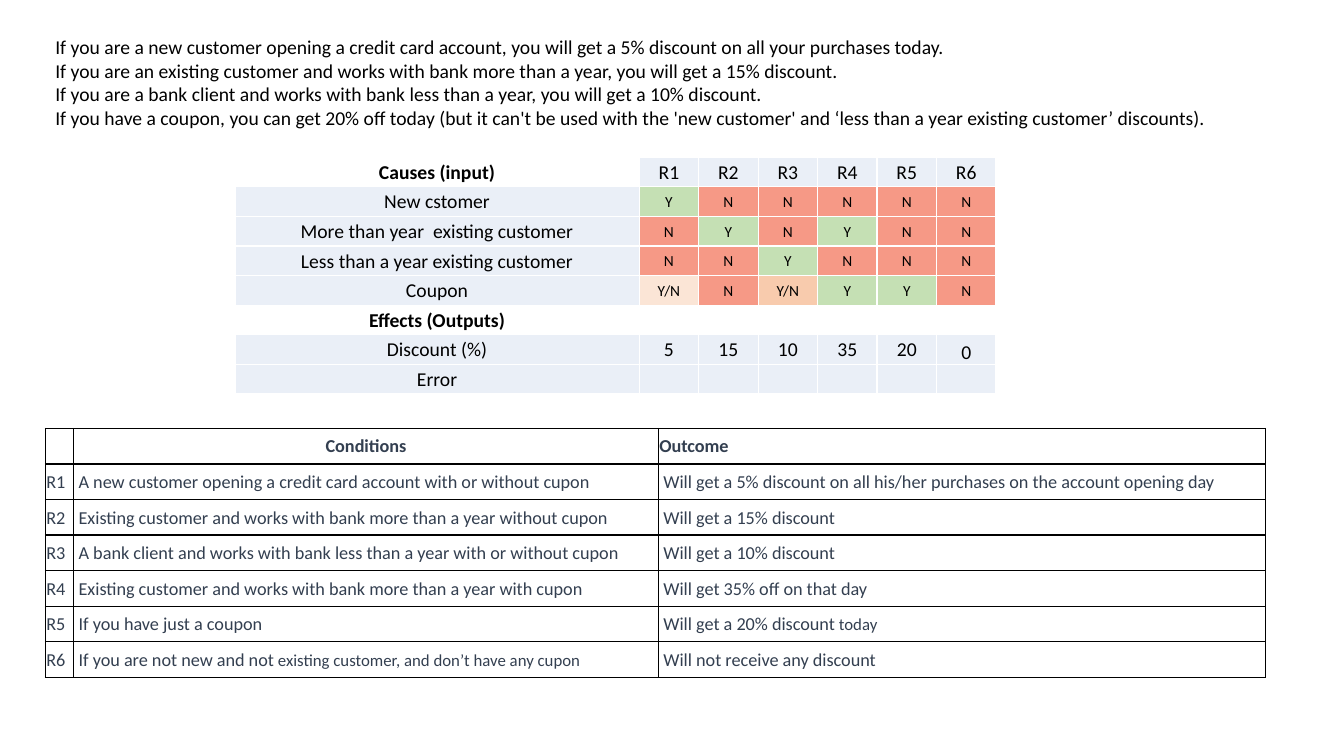
from pptx import Presentation, oxml
from pptx import util as u
from pptx.dml.color import RGBColor
from pptx.enum import text
from pptx.oxml import ns

BLACK = RGBColor(0x00, 0x00, 0x00)
WHITE = RGBColor(0xFF, 0xFF, 0xFF)
SLATE = RGBColor(0x33, 0x3F, 0x50)
PALE_BLUE = RGBColor(0xEA, 0xEF, 0xF7)
GREEN = RGBColor(0xC5, 0xE0, 0xB4)
RED = RGBColor(0xF6, 0x99, 0x86)
LIGHT_ORANGE = RGBColor(0xFB, 0xE5, 0xD6)
ORANGE = RGBColor(0xF8, 0xCB, 0xAD)

CENTER, LEFT = text.PP_ALIGN.CENTER, text.PP_ALIGN.LEFT
MIDDLE = text.MSO_ANCHOR.MIDDLE


class SlideBuilder:
    font_name = "Calibri"

    def __init__(self, slide):
        self.slide = slide

    def style(self, paragraph, size, color, bold=False, align=LEFT):
        paragraph.alignment = align
        font = paragraph.font
        font.name, font.size, font.bold = self.font_name, u.Pt(size), bold
        font.color.rgb = color

    def text_box(self, left, top, width, height, lines, size, color):
        box = self.slide.shapes.add_textbox(*map(u.Inches, (left, top, width, height)))
        frame = box.text_frame
        frame.word_wrap = False
        frame.auto_size = text.MSO_AUTO_SIZE.SHAPE_TO_FIT_TEXT
        frame.text = "\n".join(lines)
        for paragraph in frame.paragraphs:
            self.style(paragraph, size, color)

    def table(self, left, top, column_widths, height, row_count):
        frame = self.slide.shapes.add_table(
            row_count, len(column_widths), u.Inches(left), u.Inches(top),
            u.Inches(sum(column_widths)), u.Inches(height))
        table = frame.table
        table.first_row = table.horz_banding = False
        for column, width in zip(table.columns, column_widths):
            column.width = u.Inches(width)
        return table

    def cell(self, cell, content, size, color, fill, border, bold=False,
             align=LEFT, indent=0.01):
        """Content is a string or a list of (text, size) runs."""
        cell.margin_left = u.Inches(indent)
        cell.margin_top = cell.margin_right = u.Inches(0.01)
        cell.margin_bottom = 0
        cell.vertical_anchor = MIDDLE
        cell.fill.solid()
        cell.fill.fore_color.rgb = fill
        paragraph = cell.text_frame.paragraphs[0]
        self.style(paragraph, size, color, bold, align)
        runs = [(content, size)] if isinstance(content, str) else content
        for words, run_size in runs:
            if words:
                run = paragraph.add_run()
                run.text = words
                if run_size != size:
                    run.font.size = u.Pt(run_size)
        self.borders(cell, border)

    def borders(self, cell, color):
        properties = cell._tc.get_or_add_tcPr()
        for index, side in enumerate("LRTB"):
            properties.insert(index, oxml.parse_xml(
                f'<a:ln{side} {ns.nsdecls("a")} w="12700"><a:solidFill>'
                f'<a:srgbClr val="{color}"/></a:solidFill></a:ln{side}>'))


presentation = Presentation()
presentation.slide_width = u.Inches(13.33)
presentation.slide_height = u.Inches(7.5)
builder = SlideBuilder(presentation.slides.add_slide(presentation.slide_layouts[6]))

# Discount rules in words
builder.text_box(0.45, 0.3, 11.72, 1.04, [
    "If you are a new customer opening a credit card account, you will get a 5% discount on all your purchases today.",
    "If you are an existing customer and works with bank more than a year, you will get a 15% discount.",
    "If you are a bank client and works with bank less than a year, you will get a 10% discount.",
    "If you have a coupon, you can get 20% off today (but it can't be used with the 'new customer' "
    "and ‘less than a year existing customer’ discounts).",
], 14, BLACK)

# Decision table: causes and effects for each rule
rules = [f"R{number}" for number in range(1, 7)]
decisions = [
    ("Causes (input)", rules),
    ("New cstomer", "Y N N N N N".split()),
    ("More than year  existing customer", "N Y N Y N N".split()),
    ("Less than a year existing customer", "N N Y N N N".split()),
    ("Coupon", "Y/N N Y/N Y Y N".split()),
    ("Effects (Outputs)", [""] * 6),
    ("Discount (%)", "5 15 10 35 20 0".split()),
    ("Error", [""] * 6),
]
answer_fills = {"Y": GREEN, "N": RED, "Y/N": ORANGE}
decision_table = builder.table(2.33, 1.56, [4.01] + [0.59] * 6, 2.35, len(decisions))
for row, (label, values) in enumerate(decisions):
    is_heading = label.startswith(("Causes", "Effects"))
    builder.cell(decision_table.cell(row, 0), label, 14, BLACK,
                 WHITE if is_heading else PALE_BLUE, WHITE, is_heading, CENTER)
    blank_fill = WHITE if label.startswith("Effects") else PALE_BLUE
    for column, value in enumerate(values, 1):
        size = 11 if value in answer_fills else 14
        builder.cell(decision_table.cell(row, column), value, size, BLACK,
                     answer_fills.get(value, blank_fill), WHITE, align=CENTER)
decision_table.cell(4, 1).fill.fore_color.rgb = LIGHT_ORANGE
decision_table.cell(6, 6).vertical_anchor = text.MSO_ANCHOR.BOTTOM

# Outcome table: each rule in words
outcomes = [
    ("A new customer opening a credit card account with or without cupon",
     "Will get a 5% discount on all his/her purchases on the account opening day"),
    ("Existing customer and works with bank more than a year without cupon",
     "Will get a 15% discount"),
    ("A bank client and works with bank less than a year with or without cupon",
     "Will get a 10% discount"),
    ("Existing customer and works with bank more than a year with cupon",
     "Will get 35% off on that day"),
    ("If you have just a coupon",
     [("Will get a 20% discount ", 13), ("today", 12)]),
    ([("If you are not new and not ", 13),
      ("existing customer, and don’t have any cupon", 12)],
     "Will not receive any discount"),
]
outcome_rows = [("", "Conditions", "Outcome")]
outcome_rows += [(rule, *outcome) for rule, outcome in zip(rules, outcomes)]
outcome_table = builder.table(0.45, 4.25, [0.28, 5.8, 6.02], 2.47, len(outcome_rows))
for row, contents in enumerate(outcome_rows):
    for column, content in enumerate(contents):
        builder.cell(outcome_table.cell(row, column), content, 13, SLATE, WHITE, BLACK,
                     bold=row == 0, align=CENTER if content == "Conditions" else LEFT,
                     indent=0.05 if row and column else 0.01)

presentation.save("out.pptx")
